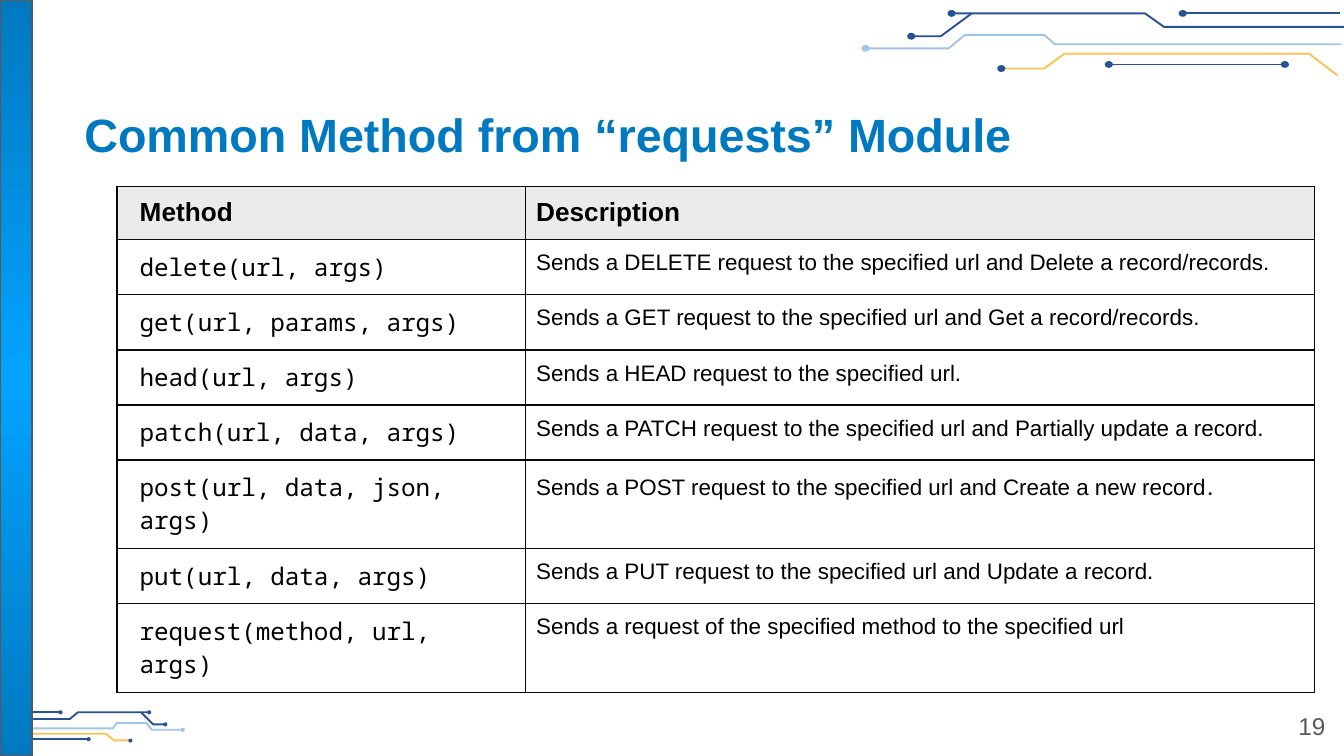
"""Build a slide listing the common methods of the requests module."""
from lxml.etree import SubElement, fromstring
from pptx import Presentation
from pptx.dml.color import RGBColor
from pptx.enum.shapes import MSO_CONNECTOR, MSO_SHAPE
from pptx.enum.text import MSO_ANCHOR, PP_ALIGN
from pptx.oxml.ns import nsdecls, qn
from pptx.util import Inches, Pt

SLIDE_WIDTH = Inches(10)
SLIDE_HEIGHT = SLIDE_WIDTH * 9 // 16

NAVY, SKY, AMBER = "285293", "9FC5E8", "FEC14F"
BLUE, BRIGHT, GRAY, BLACK = "0079C0", "03A3FF", "595959", "000000"
BORDER = "090909"

TITLE = "Common Method from “requests” Module"
PAGE_NUMBER = "19"
HEADINGS = ("Method", "Description")
METHODS = [
    ("delete(url, args)",
     "Sends a DELETE request to the specified url and Delete a record/records."),
    ("get(url, params, args)",
     "Sends a GET request to the specified url and Get a record/records."),
    ("head(url, args)", "Sends a HEAD request to the specified url."),
    ("patch(url, data, args)",
     "Sends a PATCH request to the specified url and Partially update a record."),
    ("post(url, data, json, args)",
     "Sends a POST request to the specified url and Create a new record"),
    ("put(url, data, args)",
     "Sends a PUT request to the specified url and Update a record."),
    ("request(method, url, args)",
     "Sends a request of the specified method to the specified url"),
]
POST_ROW = 5
COLUMN_WIDTHS = (3.04, 5.87)
ROW_HEIGHTS = (0.39, 0.41, 0.41, 0.41, 0.41, 0.66, 0.41, 0.66)

BOTTOM_TRACES = [
    (NAVY, [(0.03, 5.35), (0.52, 5.35), (0.58, 5.3), (1.11, 5.3)]),
    (NAVY, [(1.05, 5.3), (1.14, 5.39), (1.23, 5.39)]),
    (NAVY, [(0, 5.3), (0.45, 5.3)]),
    (AMBER, [(0.01, 5.54), (0.09, 5.46), (0.79, 5.46), (0.85, 5.51), (0.97, 5.51)]),
    (NAVY, [(0.16, 5.5), (0.66, 5.5)]),
    (SKY, [(0.06, 5.42), (0.84, 5.42), (0.87, 5.38), (1.09, 5.38), (1.13, 5.43),
           (1.36, 5.43)]),
]
BOTTOM_DOTS = [(SKY, 1.36, 5.43), (NAVY, 1.11, 5.3), (NAVY, 1.23, 5.39),
               (NAVY, 0.45, 5.3), (NAVY, 0.97, 5.51), (NAVY, 0.66, 5.5)]
TOP_TRACES = [
    (NAVY, [(10, 0.2), (8.66, 0.2), (8.52, 0.1), (7.08, 0.1)]),
    (NAVY, [(7.23, 0.1), (7, 0.27), (6.78, 0.27)]),
    (NAVY, [(9.97, 0.1), (8.8, 0.1)]),
    (AMBER, [(9.95, 0.56), (9.74, 0.4), (7.92, 0.4), (7.77, 0.51), (7.44, 0.51)]),
    (NAVY, [(9.56, 0.48), (8.25, 0.48)]),
    (SKY, [(9.98, 0.33), (7.85, 0.33), (7.77, 0.26), (7.18, 0.26), (7.06, 0.36),
           (6.44, 0.36)]),
]
TOP_DOTS = [(SKY, 6.44, 0.36), (NAVY, 7.08, 0.1), (NAVY, 6.78, 0.27), (NAVY, 8.8, 0.1),
            (NAVY, 7.45, 0.51), (NAVY, 9.56, 0.48), (NAVY, 8.25, 0.48)]


def rgb(color):
    return RGBColor.from_string(color)


def style_line(shape, color, width):
    shape.line.color.rgb = rgb(color)
    shape.line.width = Pt(width)


def style_run(run, size, color=BLACK, bold=False, font="Arial"):
    run.font.name, run.font.size, run.font.bold = font, Pt(size), bold
    run.font.color.rgb = rgb(color)


def add_trace(slide, color, points):
    corners = [(Inches(x), Inches(y)) for x, y in points]
    if len(corners) == 2:
        trace = slide.shapes.add_connector(MSO_CONNECTOR.STRAIGHT, *corners[0], *corners[1])
        SubElement(trace._element.spPr, qn("a:effectLst"))
    else:
        builder = slide.shapes.build_freeform(*corners[0])
        builder.add_line_segments(corners[1:], close=False)
        trace = builder.convert_to_shape()
        trace.fill.background()
        trace.shadow.inherit = False
    style_line(trace, color, 1.03)


def add_dot(slide, color, x, y, width, height):
    dot = slide.shapes.add_shape(MSO_SHAPE.OVAL, Inches(x - width / 2),
                                 Inches(y - height / 2), Inches(width), Inches(height))
    dot.shadow.inherit = False
    dot.fill.solid()
    dot.fill.fore_color.rgb = rgb(color)
    style_line(dot, color, 0.75)


def add_circuit(slide, traces, dots, dot_size):
    for color, points in traces:
        add_trace(slide, color, points)
    for color, x, y in dots:
        add_dot(slide, color, x, y, *dot_size)


def add_rail(slide):
    rail = slide.shapes.add_shape(MSO_SHAPE.RECTANGLE, 0, 0, Inches(0.24), SLIDE_HEIGHT)
    rail.shadow.inherit = False
    style_line(rail, GRAY, 0.75)
    gradient = fromstring(
        f'<a:gradFill {nsdecls("a")}><a:gsLst>'
        f'<a:gs pos="0"><a:srgbClr val="{BRIGHT}"/></a:gs>'
        f'<a:gs pos="100000"><a:srgbClr val="{BLUE}"/></a:gs></a:gsLst>'
        '<a:path path="circle"><a:fillToRect l="50000" t="50000" r="50000" b="50000"/>'
        '</a:path></a:gradFill>')
    rail._element.spPr.find(qn("a:prstGeom")).addnext(gradient)


def add_text(slide, text, box, size, color, bold=False, align=PP_ALIGN.LEFT,
             anchor=MSO_ANCHOR.TOP):
    frame = slide.shapes.add_textbox(*map(Inches, box)).text_frame
    frame.margin_left = frame.margin_right = Inches(0.1)
    frame.margin_top = frame.margin_bottom = Inches(0.1)
    frame.word_wrap, frame.vertical_anchor = True, anchor
    frame.text = text
    frame.paragraphs[0].alignment = align
    style_run(frame.paragraphs[0].runs[0], size, color, bold)


def style_cell(cell, left_margin, fill):
    cell.margin_left = Inches(left_margin)
    cell.margin_right = cell.margin_top = cell.margin_bottom = Inches(0.08)
    properties = cell._tc.get_or_add_tcPr()
    for side in ("lnL", "lnR", "lnT", "lnB"):
        properties.append(fromstring(
            f'<a:{side} {nsdecls("a")} w="{Pt(0.75)}"><a:solidFill>'
            f'<a:srgbClr val="{BORDER}"/></a:solidFill></a:{side}>'))
    cell.fill.solid()
    cell.fill.fore_color.rgb = rgb(fill)


def add_methods(slide):
    rows = [HEADINGS, *METHODS]
    table = slide.shapes.add_table(
        len(rows), len(HEADINGS), Inches(0.87), Inches(1.39),
        Inches(sum(COLUMN_WIDTHS)), Inches(sum(ROW_HEIGHTS))).table
    table.first_row = table.horz_banding = False
    for column, width in zip(table.columns, COLUMN_WIDTHS):
        column.width = Inches(width)
    for r, (row, height) in enumerate(zip(rows, ROW_HEIGHTS)):
        table.rows[r].height = Inches(height)
        for c, text in enumerate(row):
            cell = table.cell(r, c)
            style_cell(cell, (0.17, 0.08)[c], "FFFFFF" if r else "EBEBEB")
            cell.text_frame.text = text
            run = cell.text_frame.paragraphs[0].runs[0]
            if r == 0:
                style_run(run, 14, bold=True)
            elif c == 0:
                style_run(run, 13, font="Noto Sans Mono")
            else:
                style_run(run, 12)
    period = table.cell(POST_ROW, 1).text_frame.paragraphs[0].add_run()
    period.text = "."
    style_run(period, 14.5, "222222", font="Roboto")


def main():
    deck = Presentation()
    deck.slide_width, deck.slide_height = SLIDE_WIDTH, SLIDE_HEIGHT
    slide = deck.slides.add_slide(deck.slide_layouts[6])
    add_circuit(slide, BOTTOM_TRACES, BOTTOM_DOTS, (0.02, 0.02))
    add_circuit(slide, TOP_TRACES, TOP_DOTS, (0.05, 0.04))
    add_rail(slide)
    add_text(slide, TITLE, (0.53, 0.68, 9.07, 0.63), 25, BLUE, bold=True,
             anchor=MSO_ANCHOR.MIDDLE)
    add_methods(slide)
    add_text(slide, PAGE_NUMBER, (9.36, 5.19, 0.6, 0.43), 13, GRAY, align=PP_ALIGN.RIGHT)
    deck.save("out.pptx")


if __name__ == "__main__":
    main()
